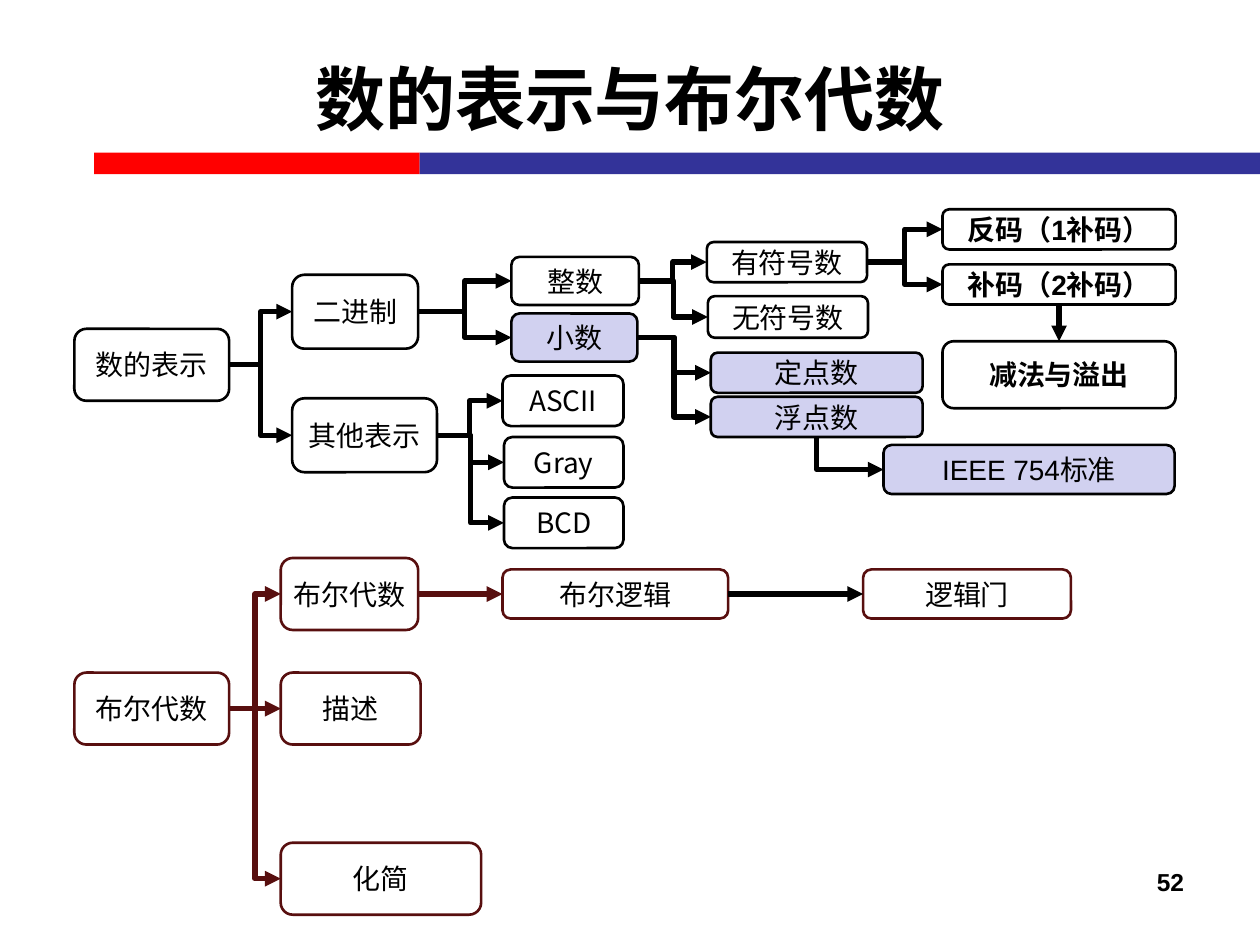
import pptx
import pptx.dml.color
import pptx.enum.shapes
import pptx.enum.text
import pptx.oxml.ns
import pptx.util
from lxml import etree
from pptx.dml.color import RGBColor
from pptx.util import Cm

BLACK = RGBColor(0x00, 0x00, 0x00)
WHITE = RGBColor(0xFF, 0xFF, 0xFF)
MAROON = RGBColor(0x58, 0x0F, 0x0F)
LAVENDER = RGBColor(0xD1, 0xD1, 0xF0)
RED = RGBColor(0xFF, 0x00, 0x00)
BLUE = RGBColor(0x33, 0x33, 0x99)

LATIN_FONT = "Arial"
CHINESE_FONT = "Noto Sans CJK SC"
TOP, LEFT, BOTTOM, RIGHT = range(4)
PLAIN = {"fill": WHITE, "line": BLACK}
SHADED = {"fill": LAVENDER, "line": BLACK}
BOOLEAN = {"fill": WHITE, "line": MAROON}
BOLD = {"bold": True}
CODE = {"name": CHINESE_FONT}

NODES = {
    "numbers": ("数的表示", (1.5, 6.63, 3.12, 1.45), PLAIN, {}),
    "binary": ("二进制", (5.89, 5.54, 2.54, 1.49), PLAIN, {}),
    "other": ("其他表示", (5.89, 8.03, 2.92, 1.49), PLAIN, {}),
    "integer": ("整数", (10.31, 5.18, 2.57, 0.97), PLAIN, {}),
    "fraction": ("小数", (10.31, 6.32, 2.54, 0.97), SHADED, {}),
    "ascii": ("ASCII", (10.13, 7.57, 2.44, 1.02), PLAIN, CODE),
    "gray": ("Gray", (10.16, 8.81, 2.41, 1.02), PLAIN, CODE),
    "bcd": ("BCD", (10.16, 10.03, 2.41, 1.02), PLAIN, CODE),
    "signed": ("有符号数", (14.25, 4.88, 3.23, 0.81), PLAIN, {}),
    "unsigned": ("无符号数", (14.27, 5.97, 3.23, 0.84), PLAIN, {}),
    "fixed": ("定点数", (14.33, 7.11, 4.27, 0.81), SHADED, {}),
    "floating": ("浮点数", (14.33, 8.0, 4.27, 0.81), SHADED, {}),
    "ones": ("反码（1补码）", (19, 4.22, 4.7, 0.81), PLAIN, BOLD),
    "twos": ("补码（2补码）", (19, 5.33, 4.7, 0.81), PLAIN, BOLD),
    "overflow": ("减法与溢出", (19, 6.88, 4.7, 1.35), PLAIN, BOLD),
    "ieee": ("IEEE 754标准", (17.81, 8.97, 5.87, 0.99), PLAIN | SHADED, {}),
    "boolean": ("布尔代数", (1.5, 13.56, 3.12, 1.45), BOOLEAN, {}),
    "algebra": ("布尔代数", (5.66, 11.25, 2.77, 1.45), BOOLEAN, {}),
    "description": ("描述", (5.66, 13.56, 2.82, 1.45), BOOLEAN, {}),
    "simplification": ("化简", (5.66, 16.99, 4.04, 1.45), BOOLEAN, {}),
    "logic": ("布尔逻辑", (10.13, 11.48, 4.55, 0.99), BOOLEAN, {}),
    "gates": ("逻辑门", (17.4, 11.48, 4.19, 0.99), BOOLEAN, {}),
}

BRANCHES = {
    "numbers": (BLACK, ["binary", "other"]),
    "binary": (BLACK, ["integer", "fraction"]),
    "other": (BLACK, ["ascii", "gray", "bcd"]),
    "integer": (BLACK, ["signed", "unsigned"]),
    "fraction": (BLACK, ["fixed", "floating"]),
    "signed": (BLACK, ["ones", "twos"]),
    "boolean": (MAROON, ["algebra", "description", "simplification"]),
    "algebra": (MAROON, ["logic"]),
    "logic": (BLACK, ["gates"]),
}


def set_attributes(target, values):
    """Set each named attribute of the target."""
    for name, value in values.items():
        setattr(target, name, value)


def write_text(shape, text, font, alignment="CENTER", anchor="MIDDLE"):
    """Write one formatted line of text into a shape."""
    set_attributes(shape.text_frame, {
        "word_wrap": True,
        "margin_left": 0,
        "margin_right": 0,
        "vertical_anchor": getattr(pptx.enum.text.MSO_ANCHOR, anchor),
    })
    paragraph = shape.text_frame.paragraphs[0]
    paragraph.alignment = getattr(pptx.enum.text.PP_ALIGN, alignment)
    run = paragraph.add_run()
    run.text = text
    set_attributes(run.font, {"name": LATIN_FONT, "size": pptx.util.Pt(16), "bold": False} | font)
    run.font.color.rgb = BLACK
    properties = run.font._element
    east_asian = etree.SubElement(properties, pptx.oxml.ns.qn("a:ea"))
    east_asian.set("typeface", CHINESE_FONT)


def add_block(slide, kind, box, fill, line=None):
    """Add a filled preset shape, outlined when a line colour is given."""
    shape = slide.shapes.add_shape(kind, *map(Cm, box))
    shape.shadow.inherit = False
    shape.fill.solid()
    shape.fill.fore_color.rgb = fill
    if line is None:
        shape.line.fill.background()
    else:
        shape.line.color.rgb = line
        shape.line.width = pptx.util.Pt(1.5)
    return shape


def add_node(slide, text, box, colours, font):
    """Add a rounded box with a centred label."""
    shape = add_block(slide, pptx.enum.shapes.MSO_SHAPE.ROUNDED_RECTANGLE, box, **colours)
    write_text(shape, text, font)
    return shape


def add_label(slide, text, box, font, **placement):
    """Add a free text box."""
    shape = slide.shapes.add_textbox(*map(Cm, box))
    write_text(shape, text, font, **placement)


def add_arrow(slide, start, end, colour, start_site=RIGHT, end_site=LEFT):
    """Join two boxes with an arrow, bent unless they are level or stacked."""
    level = abs(start.top + start.height / 2 - end.top - end.height / 2) < Cm(0.05)
    straight = level or start_site == BOTTOM and end_site == TOP
    kinds = pptx.enum.shapes.MSO_CONNECTOR
    connector = slide.shapes.add_connector(kinds.STRAIGHT if straight else kinds.ELBOW, 0, 0, 0, 0)
    connector.begin_connect(start, start_site)
    connector.end_connect(end, end_site)
    connector.line.color.rgb = colour
    connector.line.width = pptx.util.Pt(3)
    head = etree.SubElement(connector.line._get_or_add_ln(), pptx.oxml.ns.qn("a:tailEnd"))
    head.set("type", "triangle")
    etree.SubElement(connector.element.spPr, pptx.oxml.ns.qn("a:effectLst"))
    return connector


def turn_corner(connector):
    """Make a connector run down first and then right, with a single bend."""
    width, height = connector.width, connector.height
    centre_x = connector.left + width // 2
    centre_y = connector.top + height // 2
    set_attributes(connector, {
        "left": centre_x - height // 2,
        "top": centre_y - width // 2,
        "width": height,
        "height": width,
    })
    properties = connector.element.spPr
    frame = properties.find(pptx.oxml.ns.qn("a:xfrm"))
    frame.set("rot", "16200000")
    frame.set("flipH", "1")
    properties.find(pptx.oxml.ns.qn("a:prstGeom")).set("prst", "bentConnector2")


def main():
    """Build the slide and save it."""
    presentation = pptx.Presentation()
    set_attributes(presentation, {"slide_width": Cm(25.4), "slide_height": Cm(19.05)})
    slide = presentation.slides.add_slide(presentation.slide_layouts[6])

    rectangle = pptx.enum.shapes.MSO_SHAPE.RECTANGLE
    add_block(slide, rectangle, (1.9, 3.08, 6.56, 0.43), RED)
    add_block(slide, rectangle, (8.46, 3.08, 16.94, 0.43), BLUE)
    add_label(slide, "数的表示与布尔代数", (1.27, 0.38, 22.86, 3.18),
              {"size": pptx.util.Pt(40), "bold": True})

    nodes = {name: add_node(slide, *node) for name, node in NODES.items()}
    for parent, (colour, children) in BRANCHES.items():
        for child in children:
            add_arrow(slide, nodes[parent], nodes[child], colour)
    add_arrow(slide, nodes["twos"], nodes["overflow"], BLACK, BOTTOM, TOP)
    turn_corner(add_arrow(slide, nodes["floating"], nodes["ieee"], BLACK, BOTTOM))

    add_label(slide, "52", (18.21, 17.35, 5.66, 1.32),
              {"size": pptx.util.Pt(14), "bold": True}, alignment="RIGHT", anchor="TOP")
    presentation.save("out.pptx")


if __name__ == "__main__":
    main()
